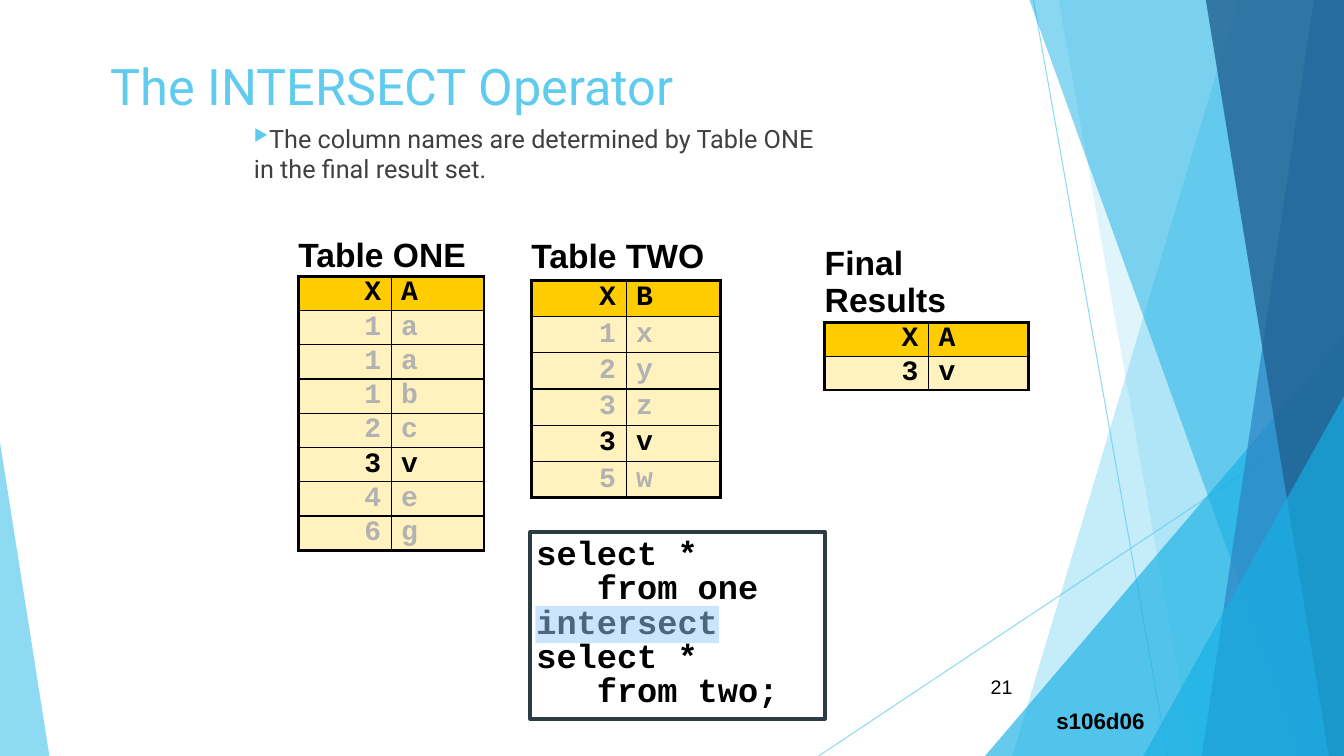
"""Build a slide that explains the SQL INTERSECT operator with sample tables."""
from lxml.etree import SubElement
from pptx import Presentation
from pptx.dml.color import RGBColor
from pptx.enum.shapes import MSO_CONNECTOR, MSO_SHAPE
from pptx.enum.text import MSO_ANCHOR, MSO_AUTO_SIZE, PP_ALIGN
from pptx.oxml.ns import qn
from pptx.util import Inches, Pt

SKY, BLUE, BLACK, GRAY = "5FCBEF", "17B0E4", "000000", "B2B2B2"
GOLD, CREAM = "FFCC00", "FFF2BE"


def paint(fill, color, opacity=100):
    fill.solid()
    fill.fore_color.rgb = RGBColor.from_string(color)
    if opacity < 100:
        choice = fill._xPr.find(qn("a:solidFill"))[0]
        SubElement(choice, qn("a:alpha"), val=str(opacity * 1000))


def write(frame, lines, size, font, color=BLACK, bold=False,
          align=PP_ALIGN.LEFT, spacing=None):
    for index, line in enumerate(lines):
        paragraph = frame.paragraphs[0] if index == 0 else frame.add_paragraph()
        paragraph.text = line
        paragraph.alignment = align
        paragraph.line_spacing = spacing
        paragraph.font.size = Pt(size)
        paragraph.font.name = font
        paragraph.font.bold = bold
        paint(paragraph.font.fill, color)


presentation = Presentation()
presentation.slide_width = Inches(13.33)
presentation.slide_height = Inches(7.5)
slide = presentation.slides.add_slide(presentation.slide_layouts[6])
shapes = slide.shapes

for start_x, start_y, end_x, end_y in [(10.25, 0, 11.58, 7.5), (13.33, 4.03, 8.12, 7.5)]:
    connector = shapes.add_connector(
        MSO_CONNECTOR.STRAIGHT, Inches(start_x), Inches(start_y), Inches(end_x), Inches(end_y))
    connector.line.width = Pt(0.75)
    paint(connector.line.fill, SKY, 70)
    SubElement(connector._element.spPr, qn("a:effectLst"))

bands = [(12.28, 10.04, SKY, 36), (10.5, 11.83, SKY, 20), (10.21, 12.91, BLUE, 50),
         (13.03, 11.92, "2E83C3", 70), (11.96, 13.18, "226292", 80)]
triangles = {
    1: [(9.77, 3.33, 3.56, 4.17, 1, BLUE, 66)],
    4: [(11.34, 3.93, 1.99, 3.57, 1, BLUE, 66), (0, 4.39, 0.49, 3.11, 0, SKY, 70)],
}
for index, (top_x, bottom_x, color, opacity) in enumerate(bands):
    builder = shapes.build_freeform(Inches(top_x), 0)
    corners = [(13.33, 0), (13.33, 7.5), (bottom_x, 7.5)]
    builder.add_line_segments([(Inches(x), Inches(y)) for x, y in corners], close=True)
    band = builder.convert_to_shape()
    band.shadow.inherit = False
    band.line.fill.background()
    paint(band.fill, color, opacity)
    for left, top, width, height, apex, shade, alpha in triangles.get(index, []):
        triangle = shapes.add_shape(
            MSO_SHAPE.ISOSCELES_TRIANGLE, Inches(left), Inches(top), Inches(width), Inches(height))
        triangle.adjustments[0] = apex
        triangle.shadow.inherit = False
        triangle.line.fill.background()
        paint(triangle.fill, shade, alpha)

title = shapes.add_textbox(Inches(1), Inches(0.47), Inches(12.33), Inches(0.75)).text_frame
title.word_wrap = True
title.vertical_anchor = MSO_ANCHOR.MIDDLE
write(title, ["The INTERSECT Operator"], 36, "Roboto", SKY)

body = shapes.add_textbox(Inches(2.42), Inches(1.17), Inches(8.42), Inches(1.41)).text_frame
body.word_wrap = True
properties = body.paragraphs[0]._p.get_or_add_pPr()
properties.set("marL", "0")
properties.set("indent", "0")
SubElement(SubElement(properties, qn("a:buClr")), qn("a:srgbClr"), val=SKY)
SubElement(properties, qn("a:buSzPct"), val="65000")
SubElement(properties, qn("a:buChar"), char="▶")
write(body, ["The column names are determined by Table ONE\vin the final result set."],
      18, "Roboto", "404040")

tables = [
    ("Final Results", 8.18, 2.4, (1.03, 0.99), 0.8, 0.33, ["XA", "3v"]),
    ("Table ONE", 2.96, 2.34, (0.92, 0.92), 0.4, 0.34,
     ["XA", "1a", "1a", "1b", "2c", "3v", "4e", "6g"]),
    ("Table TWO", 5.27, 2.32, (0.94, 0.94), 0.46, 0.36,
     ["XB", "1x", "2y", "3z", "3v", "5w"]),
]
for caption, left, top, widths, caption_height, row_height, records in tables:
    last = len(records)
    table = shapes.add_table(
        last + 1, 2, Inches(left), Inches(top), Inches(sum(widths)),
        Inches(caption_height + last * row_height)).table
    table.first_row = table.horz_banding = False
    for column, width in zip(table.columns, widths):
        column.width = Inches(width)
    for index, row in enumerate(table.rows):
        row.height = Inches(row_height if index else caption_height)
        for side, cell in enumerate(row.cells):
            cell.vertical_anchor = MSO_ANCHOR.MIDDLE
            cell.margin_top = cell.margin_bottom = 0
            cell.margin_left = cell.margin_right = Inches(0.1 if index else 0)
            thick = {"L": side == 0, "R": side == 1, "T": index == 1, "B": index in (0, last)}
            for edge, outer in thick.items():
                border = SubElement(cell._tc.get_or_add_tcPr(), qn(f"a:ln{edge}"),
                                    w=str(Pt(2.25 if outer else 1)))
                if index or edge == "B":
                    SubElement(SubElement(border, qn("a:solidFill")), qn("a:srgbClr"), val=BLACK)
                else:
                    SubElement(border, qn("a:noFill"))
            if index == 0:
                cell.fill.background()
                continue
            record = records[index - 1]
            paint(cell.fill, GOLD if index == 1 else CREAM)
            write(cell.text_frame, [record[side]], 20, "Courier New",
                  BLACK if index == 1 or record == "3v" else GRAY, True,
                  PP_ALIGN.LEFT if side else PP_ALIGN.RIGHT)
    heading = table.cell(0, 0)
    heading.merge(table.cell(0, 1))
    write(heading.text_frame, [caption], 24, "Arial", bold=True)

number = shapes.add_textbox(Inches(9.39), Inches(6.61), Inches(0.75), Inches(0.4)).text_frame
number.word_wrap = True
number.vertical_anchor = MSO_ANCHOR.MIDDLE
write(number, ["21"], 14, "Arial", align=PP_ALIGN.RIGHT)

query = shapes.add_shape(
    MSO_SHAPE.RECTANGLE, Inches(5.26), Inches(5.28), Inches(2.92), Inches(1.85))
query.shadow.inherit = False
paint(query.fill, "FFFFFF")
paint(query.line.fill, "2C3C43")
query.line.width = Pt(3)
code = query.text_frame
code.vertical_anchor = MSO_ANCHOR.TOP
code.margin_left = code.margin_right = code.margin_top = code.margin_bottom = Inches(0.06)
write(code, ["select *", "   from one", "intersect", "select *", "   from two;"],
      24, "Courier New", bold=True, spacing=0.85)

label = shapes.add_textbox(Inches(10.33), Inches(6.92), Inches(1.12), Inches(0.46)).text_frame
label.word_wrap = False
label.auto_size = MSO_AUTO_SIZE.SHAPE_TO_FIT_TEXT
label.margin_top = label.margin_bottom = label.margin_right = Inches(0.1)
label.margin_left = Inches(0.05)
write(label, ["s106d06"], 16, "Arial", bold=True, align=PP_ALIGN.RIGHT)

highlight = shapes.add_shape(
    MSO_SHAPE.RECTANGLE, Inches(5.31), Inches(6.01), Inches(1.82), Inches(0.37))
highlight.shadow.inherit = False
highlight.line.fill.background()
paint(highlight.fill, "99CCFF", 50)

presentation.save("out.pptx")
